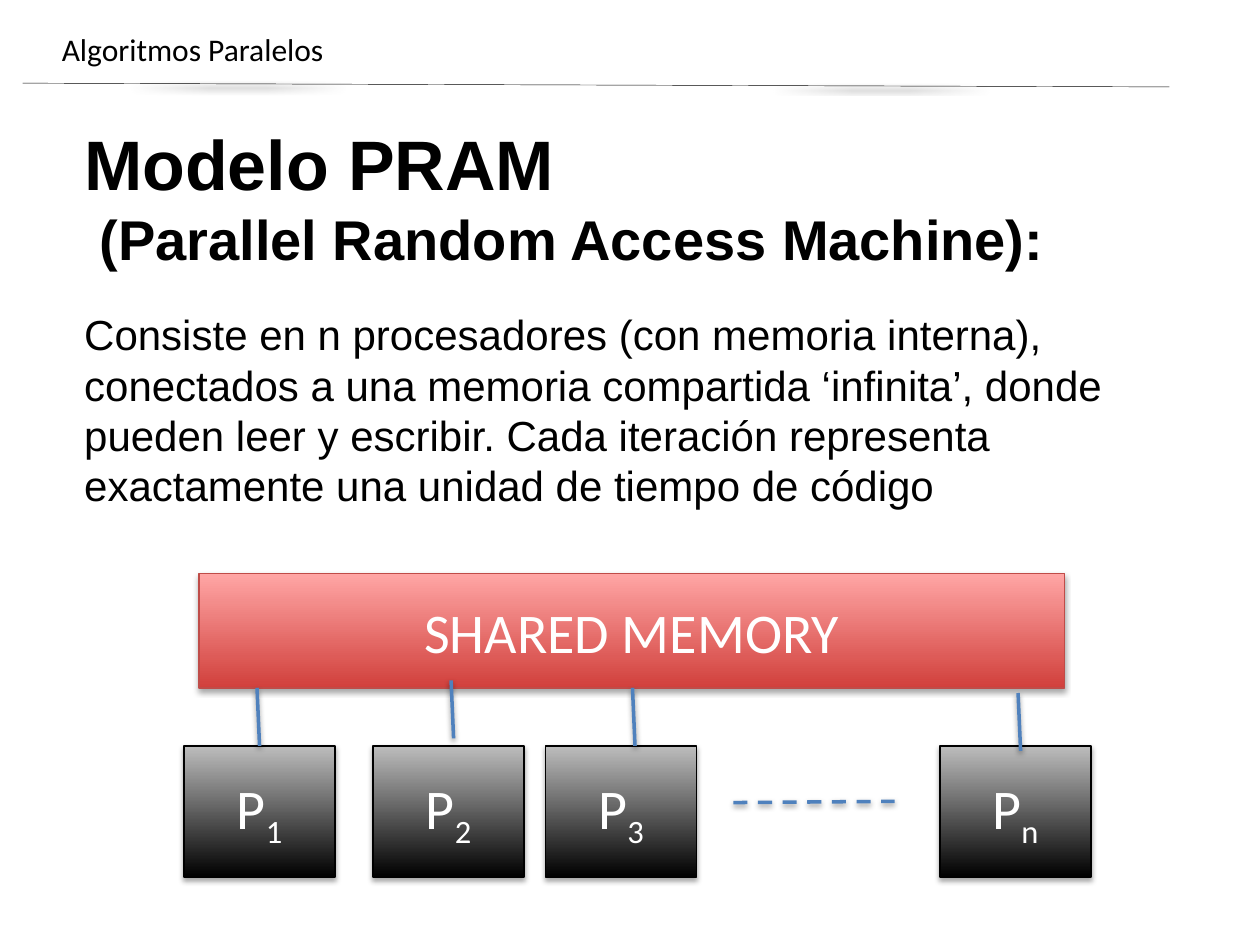
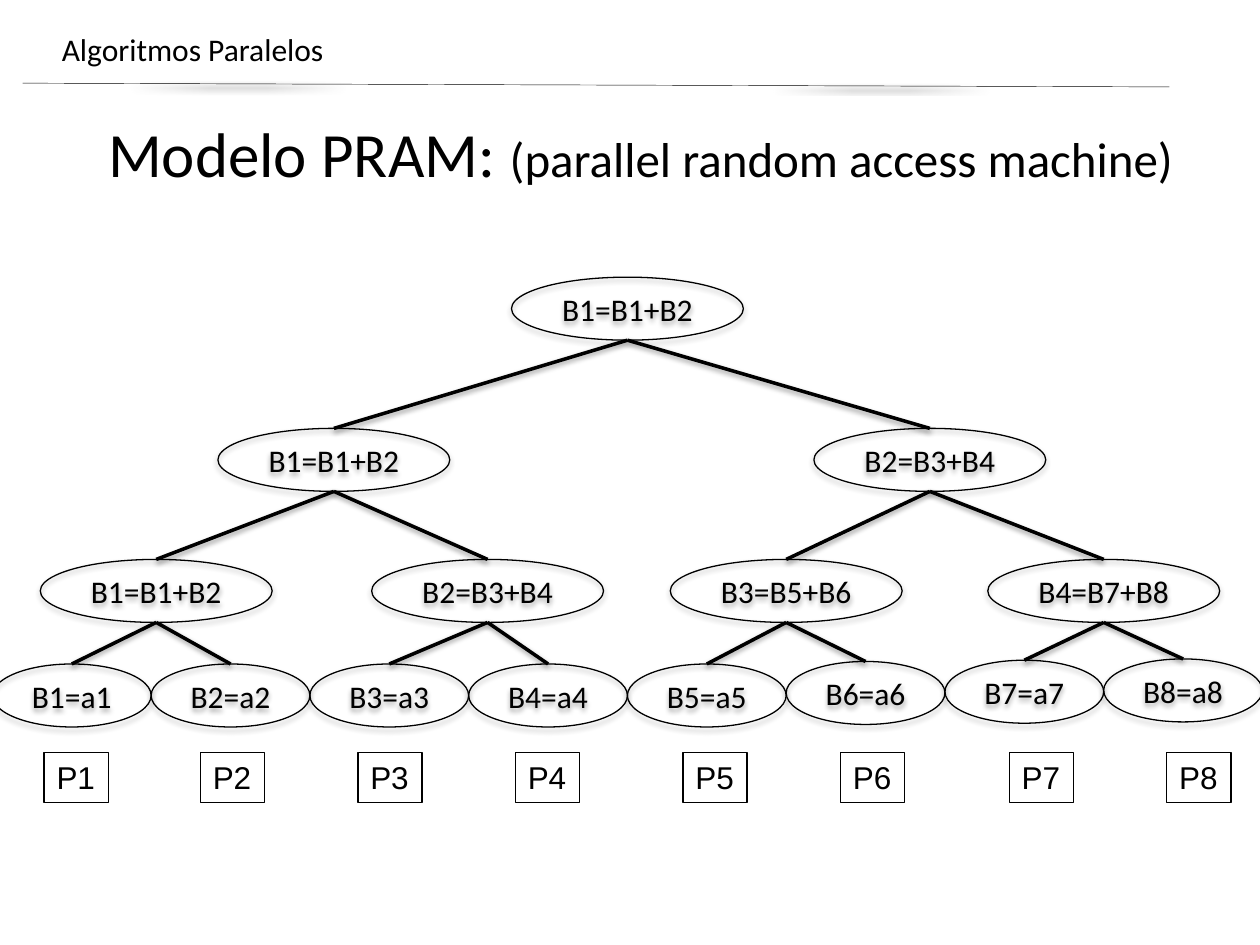
from dataclasses import dataclass
from typing import NamedTuple

from lxml.etree import SubElement
from pptx import Presentation
from pptx.dml.color import RGBColor as RGB
from pptx.enum.dml import MSO_LINE as Dash
from pptx.enum.shapes import MSO_CONNECTOR as Conn, MSO_SHAPE as Kind
from pptx.enum.text import MSO_ANCHOR as Anchor, MSO_AUTO_SIZE as Fit, PP_ALIGN as Align
from pptx.oxml.ns import qn
from pptx.util import Emu, Pt

UNIT = 9144  # EMU in one px, 100 px to the inch


def px(count: int) -> Emu:
    return Emu(count * UNIT)


class Shade(NamedTuple):
    alpha: int
    blur: float
    drop: float


@dataclass(frozen=True)
class Theme:
    ink: str = "000000"
    paper: str = "FFFFFF"
    blue: str = "4F81BD"
    gray: tuple[str, str, str] = ("000000", "BDBDBD", "000000")  # low, high, edge
    red: tuple[str, str, str] = ("D1403C", "FFA6A5", "BF4C48")
    sans: str = "Arial"
    plain: str = "Calibri"
    small: int = 18
    body: int = 24
    sub: int = 28
    large: int = 32
    head: int = 36
    huge: int = 40
    hair: float = 0.25
    edge: float = 0.75
    bold: float = 2
    box: Shade = Shade(35, 3.1, 1.8)
    wire: Shade = Shade(38, 3.1, 1.6)


LOOK = Theme()


class Run(NamedTuple):
    text: str
    size: int = LOOK.small
    face: str = LOOK.plain
    color: str = LOOK.ink
    bold: bool = False
    low: bool = False


class Box(NamedTuple):
    left: int
    top: int
    width: int
    height: int


class Wire(NamedTuple):
    x1: int
    y1: int
    x2: int
    y2: int
    color: str = LOOK.ink
    width: float = LOOK.bold
    dash: bool = False


# Shared parts

def write(para, *runs: Run) -> None:
    for item in runs:
        run = para.add_run()
        run.text = item.text
        font = run.font
        font.name, font.size, font.bold = item.face, Pt(item.size), item.bold
        font.color.rgb = RGB.from_string(item.color)
        if item.low:
            run._r.get_or_add_rPr().set("baseline", "-25000")


def shade(item, kind: Shade) -> None:
    props = item._element.spPr
    list_ = props.find(qn("a:effectLst"))
    if list_ is None:
        list_ = SubElement(props, qn("a:effectLst"))
    cast = SubElement(list_, qn("a:outerShdw"), blurRad=str(Pt(kind.blur)),
                      dist=str(Pt(kind.drop)), dir="5400000", rotWithShape="0")
    color = SubElement(cast, qn("a:srgbClr"), val=LOOK.ink)
    SubElement(color, qn("a:alpha"), val=str(kind.alpha * 1000))


def stroke(line, color: str, width: float) -> None:
    line.color.rgb = RGB.from_string(color)
    line.width = Pt(width)


def link(slide, wire: Wire):
    item = slide.shapes.add_connector(Conn.STRAIGHT, *map(px, wire[:4]))
    stroke(item.line, wire.color, wire.width)
    if wire.dash:
        item.line.dash_style = Dash.DASH
    shade(item, LOOK.wire)
    return item


def block(slide, kind: Kind, box: Box, runs: list[Run],
          tones: tuple[str, str, str] | None = None):
    item = slide.shapes.add_shape(kind, *map(px, box))
    if tones:
        item.fill.gradient()
        item.fill.gradient_angle = 90
        for stop, tone in zip(item.fill.gradient_stops, tones):
            stop.color.rgb = RGB.from_string(tone)
    else:
        item.fill.background()
    stroke(item.line, tones[2] if tones else LOOK.ink, LOOK.edge)
    item.shadow.inherit = False
    shade(item, LOOK.box)
    frame = item.text_frame
    frame.vertical_anchor = Anchor.MIDDLE
    para = frame.paragraphs[0]
    para.alignment = Align.CENTER
    write(para, *runs)
    return item


def note(slide, box: Box, runs: list[Run], wrap: bool = False):
    item = slide.shapes.add_textbox(*map(px, box))
    item.text_frame.word_wrap = wrap
    item.text_frame.auto_size = Fit.SHAPE_TO_FIT_TEXT
    write(item.text_frame.paragraphs[0], *runs)
    return item


def start(deck):
    slide = deck.slides.add_slide(deck.slide_layouts[5])
    title = slide.shapes.title
    title.left, title.top, title.width, title.height = map(px, (39, 22, 850, 34))
    frame = title.text_frame
    frame.auto_size = Fit.NONE
    frame.vertical_anchor = Anchor.MIDDLE
    frame.paragraphs[0].alignment = Align.LEFT
    write(frame.paragraphs[0], Run("Algoritmos Paralelos"))
    link(slide, Wire(18, 66, 928, 69, width=LOOK.hair))
    return slide


# Slide 1: processors on a shared memory

def model(deck) -> None:
    slide = start(deck)
    text = note(slide, Box(57, 91, 890, 323),
                [Run("Modelo PRAM", LOOK.huge, LOOK.sans, bold=True)], wrap=True)
    frame = text.text_frame
    write(frame.add_paragraph(), Run(" (Parallel Random Access Machine):",
                                     LOOK.large, LOOK.sans, bold=True))
    para = frame.add_paragraph()
    para.space_before = Pt(21)
    write(para, Run(
        "Consiste en n procesadores (con memoria interna), conectados a una "
        "memoria compartida ‘infinita’, donde pueden leer y escribir. Cada "
        "iteración representa exactamente una unidad de tiempo de código",
        LOOK.body, LOOK.sans))

    label = Run("P", LOOK.large, color=LOOK.paper)
    units = [block(slide, Kind.RECTANGLE, Box(left, 592, 120, 104),
                   [label, label._replace(text=mark, low=True)], LOOK.gray)
             for mark, left in zip("123n", (146, 296, 433, 746))]
    block(slide, Kind.RECTANGLE, Box(158, 455, 687, 91),
          [label._replace(text="SHARED MEMORY")], LOOK.red)

    wires = [link(slide, Wire(x, y, x + 2, y + 46, LOOK.blue))
             for x, y in ((204, 546), (358, 540), (502, 546), (808, 550))]
    wires[0].end_connect(units[0], 0)
    link(slide, Wire(582, 637, 710, 636, LOOK.blue, dash=True))


# Slide 2: sum tree, from the leaves up to the root

def tree(deck) -> None:
    slide = start(deck)
    note(slide, Box(76, 86, 876, 71),
         [Run("Modelo PRAM: ", LOOK.head),
          Run("(parallel random access machine)", LOOK.sub)])

    tops = (527,) * 5 + (525, 524, 523)
    leaves = [block(slide, Kind.OVAL, Box(126 * i - 6, top, 126, 50),
                    [Run(f"B{i + 1}=a{i + 1}")])
              for i, top in enumerate(tops)]
    tiers = [leaves]
    for top, lefts in ((444, (32, 295, 532, 784)), (340, (173, 646)), (220, (406,))):
        tiers.append([block(slide, Kind.OVAL, Box(left, top, 184, 50),
                            [Run(f"B{i}=B{2 * i - 1}+B{2 * i}")])
                      for i, left in enumerate(lefts, 1)])

    # Each node hangs from the bottom of its parent
    for lower, upper in zip(tiers, tiers[1:]):
        for i, node in enumerate(lower):
            base = upper[i // 2]
            x, y = base.left + base.width // 2, base.top + base.height
            wire = link(slide, Wire(0, 0, x // UNIT, y // UNIT))
            wire.begin_connect(node, 0)

    for i, left in enumerate((35, 159, 284, 409, 542, 667, 801, 926), 1):
        tile = note(slide, Box(left, 597, 51, 40), [Run(f"P{i}", face=LOOK.sans)])
        stroke(tile.line, LOOK.ink, LOOK.edge)


def main() -> None:
    deck = Presentation()
    deck.slide_width, deck.slide_height = px(1000), px(750)
    model(deck)
    tree(deck)
    deck.save("out.pptx")


if __name__ == "__main__":
    main()
